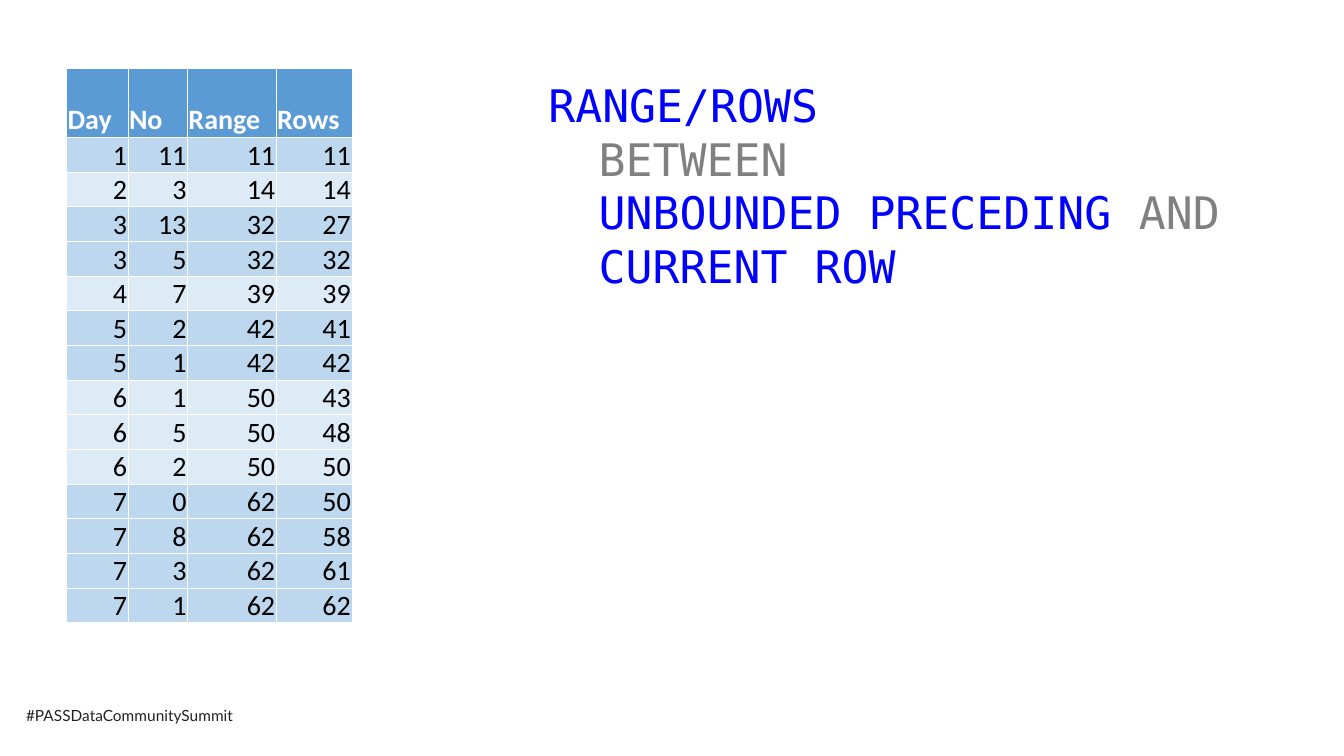
from lxml import etree
from pptx import Presentation
from pptx.dml.color import RGBColor
from pptx.enum.text import MSO_ANCHOR, PP_ALIGN
from pptx.oxml.ns import qn
from pptx.util import Inches, Pt

BOTTOM = MSO_ANCHOR.BOTTOM
LEFT, RIGHT = PP_ALIGN.LEFT, PP_ALIGN.RIGHT

COLORS = {
    "white": "FFFFFF", "black": "000000", "header": "5B9BD5",
    "odd day": "BDD7EE", "even day": "DDEBF7",
    "keyword": "0000FF", "operator": "808080", "hashtag": "222222",
}

HEADINGS = ("Day", "No", "Range", "Rows")
TOTALS = [
    (1, 11, 11, 11),
    (2, 3, 14, 14),
    (3, 13, 32, 27),
    (3, 5, 32, 32),
    (4, 7, 39, 39),
    (5, 2, 42, 41),
    (5, 1, 42, 42),
    (6, 1, 50, 43),
    (6, 5, 50, 48),
    (6, 2, 50, 50),
    (7, 0, 62, 50),
    (7, 8, 62, 58),
    (7, 3, 62, 61),
    (7, 1, 62, 62),
]
WINDOW_FRAME = [
    [("RANGE/ROWS", "keyword")],
    [("\tBETWEEN", "operator")],
    [("\tUNBOUNDED PRECEDING ", "keyword"), ("AND", "operator")],
    [("\tCURRENT ROW", "keyword")],
]
HASHTAG = [[("#PASSDataCommunitySummit", "hashtag")]]

SLIDE_SIZE = (13.33, 7.5)
TABLE_LEFT, TABLE_TOP, TABLE_HEIGHT = 0.66, 0.68, 5.47
COLUMN_WIDTHS = (0.61, 0.59, 0.88, 0.75)
HEADER_ROWS = 2  # the header is as tall as two body rows


def style_font(font, name, size, color, bold=False):
    font.name, font.size, font.bold = name, Pt(size), bold
    font.color.rgb = RGBColor.from_string(COLORS[color])


def add_text(slide, box, lines, font_name, size, wrap):
    frame = slide.shapes.add_textbox(*map(Inches, box)).text_frame
    frame.word_wrap = wrap
    for index, line in enumerate(lines):
        paragraph = frame.add_paragraph() if index else frame.paragraphs[0]
        for text, color in line:
            run = paragraph.add_run()
            run.text = text
            style_font(run.font, font_name, size, color)


def add_borders(cell):
    properties = cell._tc.get_or_add_tcPr()
    for side in ("a:lnL", "a:lnR", "a:lnT", "a:lnB"):
        line = etree.SubElement(properties, qn(side), w=str(Pt(0.5)))
        fill = etree.SubElement(line, qn("a:solidFill"))
        etree.SubElement(fill, qn("a:srgbClr"), val=COLORS["white"])


def fill_cell(cell, value, fill, color, alignment, bold):
    cell.text = str(value)
    cell.vertical_anchor = BOTTOM
    cell.margin_left = cell.margin_right = cell.margin_top = Inches(0.01)
    cell.margin_bottom = 0
    add_borders(cell)
    cell.fill.solid()
    cell.fill.fore_color.rgb = RGBColor.from_string(COLORS[fill])
    paragraph = cell.text_frame.paragraphs[0]
    paragraph.alignment = alignment
    style_font(paragraph.runs[0].font, "Calibri", 20, color, bold)


def add_totals_table(slide):
    rows = [HEADINGS, *TOTALS]
    box = (TABLE_LEFT, TABLE_TOP, sum(COLUMN_WIDTHS), TABLE_HEIGHT)
    table = slide.shapes.add_table(len(rows), len(HEADINGS), *map(Inches, box)).table
    table.horz_banding = False
    for column, width in zip(table.columns, COLUMN_WIDTHS):
        column.width = Inches(width)
    row_height = TABLE_HEIGHT / (HEADER_ROWS + len(TOTALS))
    for row_index, values in enumerate(rows):
        is_header = row_index == 0
        table.rows[row_index].height = Inches(row_height * (HEADER_ROWS if is_header else 1))
        if is_header:
            style = ("header", "white", LEFT, True)
        else:
            style = ("odd day" if values[0] % 2 else "even day", "black", RIGHT, False)
        for column_index, value in enumerate(values):
            fill_cell(table.cell(row_index, column_index), value, *style)


def main():
    presentation = Presentation()
    presentation.slide_width, presentation.slide_height = map(Inches, SLIDE_SIZE)
    slide = presentation.slides.add_slide(presentation.slide_layouts[6])
    add_text(slide, (0.16, 6.96, 2.34, 0.29), HASHTAG, "Lato", 11, wrap=False)
    add_totals_table(slide)
    add_text(slide, (5.34, 0.72, 6.93, 2.26), WINDOW_FRAME, "DejaVu Sans Mono", 32, wrap=True)
    presentation.save("out.pptx")


if __name__ == "__main__":
    main()
